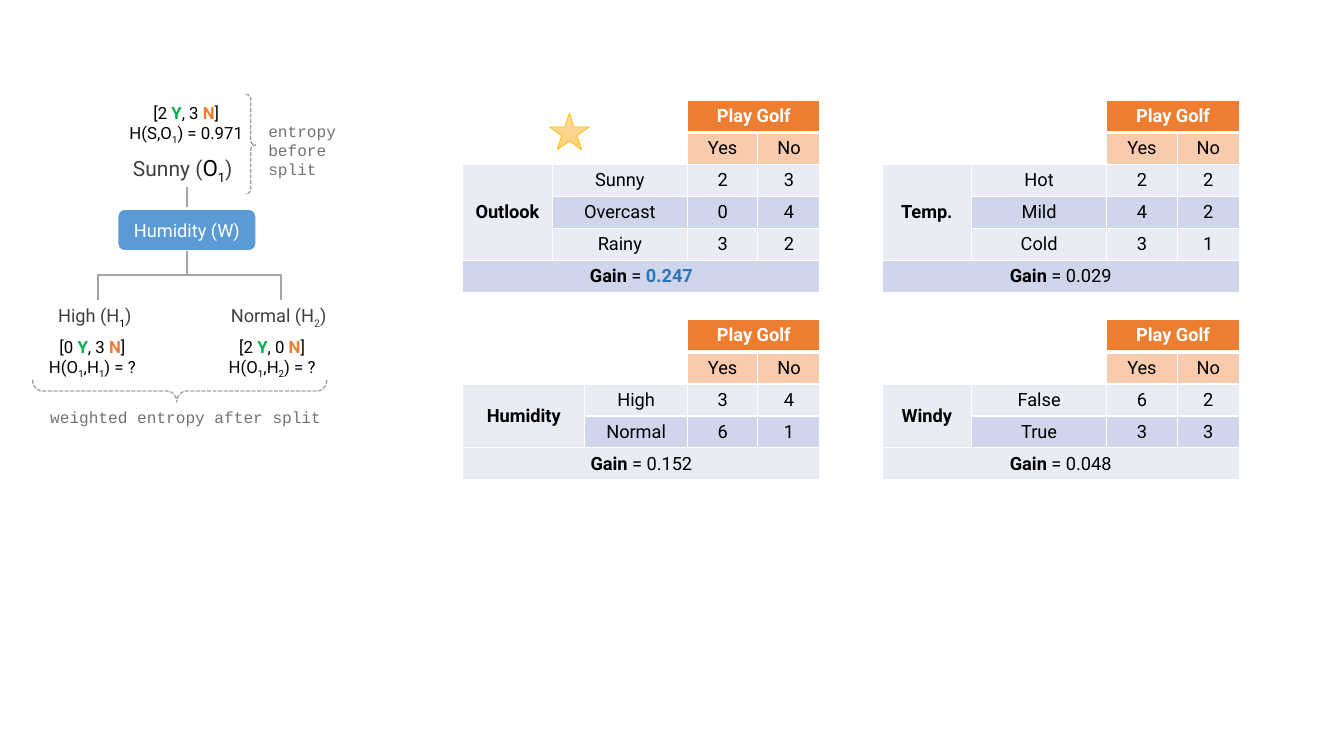
from dataclasses import dataclass

from lxml import etree
from pptx import Presentation
from pptx.dml.color import RGBColor
from pptx.enum.dml import MSO_LINE
from pptx.enum.shapes import MSO_CONNECTOR, MSO_SHAPE
from pptx.enum.text import MSO_ANCHOR, MSO_AUTO_SIZE, PP_ALIGN
from pptx.oxml.ns import qn
from pptx.util import Pt

LEFT, CENTER = PP_ALIGN.LEFT, PP_ALIGN.CENTER
MIDDLE = MSO_ANCHOR.MIDDLE
STRAIGHT, ELBOW = MSO_CONNECTOR.STRAIGHT, MSO_CONNECTOR.ELBOW
STAR, ROUND, BRACE = MSO_SHAPE.STAR_5_POINT, MSO_SHAPE.ROUNDED_RECTANGLE, MSO_SHAPE.RIGHT_BRACE
DASH = MSO_LINE.SQUARE_DOT
FIT = MSO_AUTO_SIZE.SHAPE_TO_FIT_TEXT

WHITE = RGBColor(0xFF, 0xFF, 0xFF)
BLACK = RGBColor(0, 0, 0)
DARK = RGBColor(0x40, 0x40, 0x40)
GREY = RGBColor(0x76, 0x71, 0x71)
SILVER = RGBColor(0xA5, 0xA5, 0xA5)
GREEN = RGBColor(0x00, 0xB0, 0x50)
ORANGE = RGBColor(0xED, 0x7D, 0x31)
PEACH = RGBColor(0xF8, 0xCB, 0xAD)
BLUE = RGBColor(0x5B, 0x9B, 0xD5)
DEEP = RGBColor(0x2E, 0x75, 0xB6)
GOLD = RGBColor(0xFF, 0xC0, 0x00)
STAR_TOP = RGBColor(0xFF, 0xDB, 0x9E)
STAR_END = RGBColor(0xFF, 0xD0, 0x7C)
BANDS = (RGBColor(0xE9, 0xEB, 0xF5), RGBColor(0xCF, 0xD5, 0xEA))

SANS, MONO = "Roboto", "Courier New"
ROW = 22.8


@dataclass
class Run:
    text: str
    color: RGBColor | None = None
    bold: bool = False
    sub: bool = False
    size: float | None = None


@dataclass
class Label:
    left: float
    top: float
    width: float
    height: float
    lines: list[list[Run]]
    size: float
    color: RGBColor = BLACK
    align: PP_ALIGN = LEFT
    font: str = SANS
    wrap: bool = False


@dataclass
class Grid:
    left: float
    top: float
    cols: tuple[float, ...]
    name: str
    rows: list[tuple[str, str, str]]
    gain: Run


def sub(text: str, color: RGBColor | None = None) -> Run:
    return Run(text, color, sub=True)


def counts(yes: int, no: int) -> list[Run]:
    return [Run(f"[{yes} "), Run("Y", GREEN, True), Run(f", {no} "),
            Run("N", ORANGE, True), Run("]")]


def branch(part: str) -> list[Run]:
    return [Run("H(O"), sub("1"), Run(",H"), sub(part), Run(") = ?")]


def write(para, runs: list[Run], size: float, color: RGBColor,
          align: PP_ALIGN = CENTER, font: str = SANS) -> None:
    para.alignment = align
    for item in runs:
        run = para.add_run()
        run.text = item.text
        run.font.name = font
        run.font.size = Pt(item.size or size)
        run.font.bold = item.bold
        run.font.color.rgb = item.color or color
        if item.sub:
            run._r.get_or_add_rPr().set("baseline", "-25000")


def draw_label(tag: Label) -> None:
    box = shapes.add_textbox(Pt(tag.left), Pt(tag.top), Pt(tag.width), Pt(tag.height))
    frame = box.text_frame
    frame.word_wrap = tag.wrap
    frame.auto_size = FIT
    for i, line in enumerate(tag.lines):
        para = frame.add_paragraph() if i else frame.paragraphs[0]
        write(para, line, tag.size, tag.color, tag.align, tag.font)


def edge(cell, side: str, width: float) -> None:
    line = etree.SubElement(cell._tc.get_or_add_tcPr(), qn(f"a:ln{side}"), w=str(Pt(width)))
    fill = etree.SubElement(line, qn("a:solidFill"))
    etree.SubElement(fill, qn("a:srgbClr"), val=str(WHITE))


def draw_grid(grid: Grid) -> None:
    last = len(grid.rows) + 2
    table = shapes.add_table(last + 1, 4, Pt(grid.left), Pt(grid.top),
                             Pt(sum(grid.cols)), Pt(ROW * (last + 1))).table
    table.first_row = table.horz_banding = False
    for col, width in zip(table.columns, grid.cols):
        col.width = Pt(width)
    for r, row in enumerate(table.rows):
        row.height = Pt(ROW)
        for cell in row.cells:
            for side in "LRTB":
                thick = (r, side) in ((0, "B"), (1, "T"))
                edge(cell, side, 3 if thick else 1)
            cell.fill.background()
            cell.text_frame.paragraphs[0]._p.get_or_add_endParaRPr().set("sz", "1300")

    def put(r: int, c: int, runs: list[Run], fill: RGBColor, color: RGBColor = BLACK) -> None:
        cell = table.cell(r, c)
        cell.vertical_anchor = MIDDLE
        cell.fill.solid()
        cell.fill.fore_color.rgb = fill
        write(cell.text_frame.paragraphs[0], runs, 13, color)

    # Merged heading, attribute and gain cells
    table.cell(0, 2).merge(table.cell(0, 3))
    table.cell(2, 0).merge(table.cell(last - 1, 0))
    table.cell(last, 0).merge(table.cell(last, 3))
    put(0, 2, [Run("Play Golf", bold=True)], ORANGE, WHITE)
    put(1, 2, [Run("Yes")], PEACH)
    put(1, 3, [Run("No")], PEACH)
    put(2, 0, [Run(grid.name, bold=True)], BANDS[0])
    for r, texts in enumerate(grid.rows, 2):
        for c, text in enumerate(texts, 1):
            put(r, c, [Run(text)], BANDS[r % 2])
    put(last, 0, [Run("Gain", bold=True), Run(" = "), grid.gain], BANDS[last % 2])


def add_shape(kind: MSO_SHAPE, left: float, top: float, width: float, height: float,
              color: RGBColor, weight: float):
    shape = shapes.add_shape(kind, Pt(left), Pt(top), Pt(width), Pt(height))
    shape.shadow.inherit = False
    shape.line.color.rgb = color
    shape.line.width = Pt(weight)
    return shape


def brace(left: float, top: float, width: float, height: float, turn: float) -> None:
    shape = add_shape(BRACE, left, top, width, height, SILVER, 1)
    shape.fill.background()
    shape.line.dash_style = DASH
    shape.adjustments[0], shape.adjustments[1] = 0.45, 0.51
    shape.rotation = turn


def link(kind: MSO_CONNECTOR, x1: float, y1: float, x2: float, y2: float):
    line = shapes.add_connector(kind, Pt(x1), Pt(y1), Pt(x2), Pt(y2))
    etree.SubElement(line._element.spPr, qn("a:effectLst"))
    line.line.color.rgb = SILVER
    line.line.width = Pt(1.5)
    return line


def fork(x1: float, y1: float, x2: float, y2: float) -> None:
    """Draw an elbow that leaves downwards: a sideways one, turned about its centre."""
    midx, midy = (x1 + x2) / 2, (y1 + y2) / 2
    half, tall = (y2 - y1) / 2, abs(x2 - x1) / 2
    sign = 1 if x2 < x1 else -1
    line = link(ELBOW, midx - sign * half, midy - tall, midx + sign * half, midy + tall)
    line._element.spPr.xfrm.set("rot", str((90 if sign > 0 else 270) * 60000))


deck = Presentation()
deck.slide_width, deck.slide_height = Pt(960), Pt(540)
shapes = deck.slides.add_slide(deck.slide_layouts[6]).shapes

# Gain tables
COLS = (64, 96.5, 50.4, 44.4)
WIDE = (87.3, 73.2, 50.4, 44.4)
X1, X2, Y1, Y2 = 330.5, 630, 71.5, 228.2
GRIDS = [
    Grid(X1, Y1, COLS, "Outlook", [("Sunny", "2", "3"), ("Overcast", "0", "4"),
                                   ("Rainy", "3", "2")], Run("0.247", DEEP, True)),
    Grid(X2, Y1, COLS, "Temp.", [("Hot", "2", "2"), ("Mild", "4", "2"),
                                 ("Cold", "3", "1")], Run("0.029")),
    Grid(X1, Y2, WIDE, "Humidity", [("High", "3", "4"), ("Normal", "6", "1")], Run("0.152")),
    Grid(X2, Y2, COLS, "Windy", [("False", "6", "2"), ("True", "3", "3")], Run("0.048")),
]
for grid in GRIDS:
    draw_grid(grid)

# Star for the best gain
star = add_shape(STAR, 392.6, 80.8, 28.2, 26.2, GOLD, 0.5)
star.fill.gradient()
star.fill.gradient_angle = 270
for stop, color in zip(star.fill.gradient_stops, (STAR_TOP, STAR_END)):
    stop.color.rgb = color

# Split node and its branches
node = add_shape(ROUND, 83.9, 149.2, 99.2, 30.2, WHITE, 1.5)
node.fill.solid()
node.fill.fore_color.rgb = BLUE
node.text_frame.vertical_anchor = MIDDLE
write(node.text_frame.paragraphs[0], [Run("Humidity (W)")], 13, WHITE)
link(STRAIGHT, 133.5, 133.4, 133.5, 148.2)
for end in (70, 201):
    fork(133.5, 179.4, end, 214)

# Braces before and after the split
brace(175.5, 67.3, 7.2, 71.3, 0)
brace(120.5, 174.2, 15.8, 210.2, 90)

# Tree labels
LABELS = [
    Label(82.3, 69.8, 101.5, 36.4,
          [counts(2, 3), [Run("H(S,O"), sub("1"), Run(") = 0.971")]], 12, align=CENTER),
    Label(87.9, 106.6, 90.6, 26.7, [[Run("Sunny ("), Run("O", BLACK, size=16),
          Run("1", BLACK, sub=True, size=16), Run(")")]], 15, DARK),
    Label(34.4, 214, 70.6, 23, [[Run("High (H"), sub("1", BLACK), Run(")")]], 13, DARK),
    Label(157.8, 214, 86.4, 23, [[Run("Normal (H"), sub("2"), Run(")")]], 13, DARK),
    Label(184.6, 83, 69.8, 49, [[Run("entropy ")], [Run("before ")], [Run("split")]],
          11.5, GREY, font=MONO),
    Label(25.3, 237, 81.4, 36.4, [counts(0, 3), branch("1")], 12, align=CENTER),
    Label(153.7, 237, 81.4, 36.4, [counts(2, 0), branch("2")], 12, align=CENTER),
    Label(28.8, 287.3, 216, 21, [[Run("weighted entropy after split")]],
          11.5, GREY, font=MONO, wrap=True),
]
for tag in LABELS:
    draw_label(tag)

deck.save("out.pptx")
